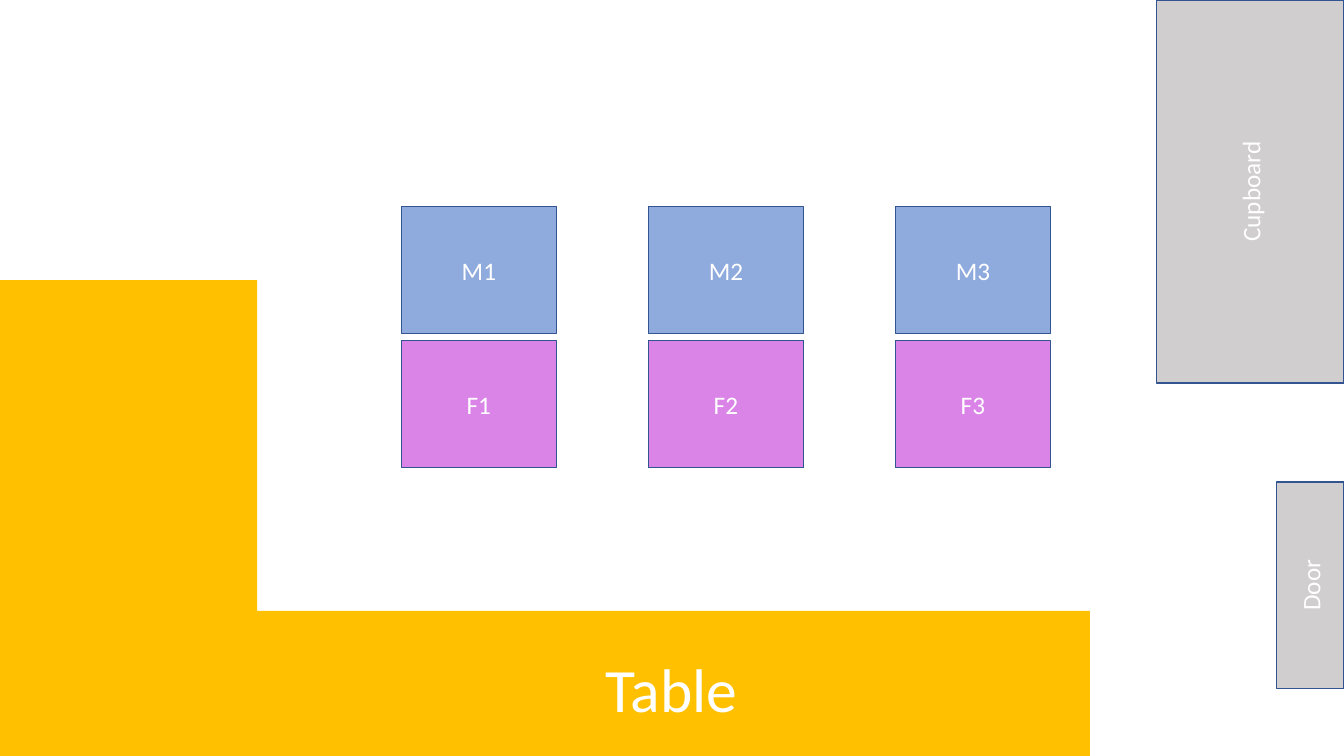
"""Draw a room plan with a table, six seats, a cupboard and a door."""
from dataclasses import dataclass

from pptx import Presentation
from pptx import util as u
from pptx.dml import color
from pptx.enum import shapes, text
from pptx.slide import Slide

FONT = "Calibri"
WHITE = "FFFFFF"
OUTLINE = "325491"
TABLE_FILL = "FFC000"
FURNITURE_FILL = "D0CECE"
SEAT_ROWS = {"M": "8FAADC", "F": "DA84E8"}
SEATS_PER_ROW = 3
SEAT_LEFT, SEAT_TOP = 3.98, 2.05
SEAT_WIDTH, SEAT_HEIGHT = 1.54, 1.26
COLUMN_STEP, ROW_STEP = 2.45, 1.33


@dataclass(frozen=True)
class Block:
    """A filled rectangle on the plan, measured in inches."""

    label: str
    left: float
    top: float
    width: float
    height: float
    fill: str
    outline: str | None = OUTLINE
    rotation: float = 0
    size: float = 18


def hex_color(value: str) -> color.RGBColor:
    """Turn a hex string into a colour."""
    return color.RGBColor.from_string(value)


def seat_blocks() -> list[Block]:
    """Lay out the seats as a grid of lettered rows and numbered columns."""
    return [
        Block(
            f"{letter}{column + 1}",
            SEAT_LEFT + column * COLUMN_STEP,
            SEAT_TOP + row * ROW_STEP,
            SEAT_WIDTH,
            SEAT_HEIGHT,
            fill,
        )
        for row, (letter, fill) in enumerate(SEAT_ROWS.items())
        for column in range(SEATS_PER_ROW)
    ]


def draw_block(slide: Slide, block: Block) -> None:
    """Add one block with its centred label."""
    shape = slide.shapes.add_shape(
        shapes.MSO_SHAPE.RECTANGLE,
        u.Inches(block.left),
        u.Inches(block.top),
        u.Inches(block.width),
        u.Inches(block.height),
    )
    shape.rotation = block.rotation
    shape.shadow.inherit = False
    shape.fill.solid()
    shape.fill.fore_color.rgb = hex_color(block.fill)
    if block.outline:
        shape.line.color.rgb = hex_color(block.outline)
        shape.line.width = u.Pt(1)
    else:
        shape.line.fill.background()
    if block.label:
        shape.text_frame.vertical_anchor = text.MSO_ANCHOR.MIDDLE
        paragraph = shape.text_frame.paragraphs[0]
        paragraph.alignment = text.PP_ALIGN.CENTER
        run = paragraph.add_run()
        run.text = block.label
        run.font.name = FONT
        run.font.size = u.Pt(block.size)
        run.font.color.rgb = hex_color(WHITE)


def main() -> None:
    """Build the room plan and save it."""
    presentation = Presentation()
    presentation.slide_width = u.Inches(13.33)
    presentation.slide_height = u.Inches(7.5)
    slide = presentation.slides.add_slide(presentation.slide_layouts[6])
    furniture = [
        Block("", -0.22, 2.78, 2.77, 4.82, TABLE_FILL, outline=None),
        Block("Table", 2.51, 6.06, 8.3, 1.53, TABLE_FILL, outline=None, size=44),
        Block("Cupboard", 10.5, 0.97, 3.8, 1.86, FURNITURE_FILL, rotation=270),
        Block("Door", 11.97, 5.47, 2.05, 0.67, FURNITURE_FILL, rotation=270),
    ]
    for block in seat_blocks() + furniture:
        draw_block(slide, block)
    presentation.save("out.pptx")


if __name__ == "__main__":
    main()
